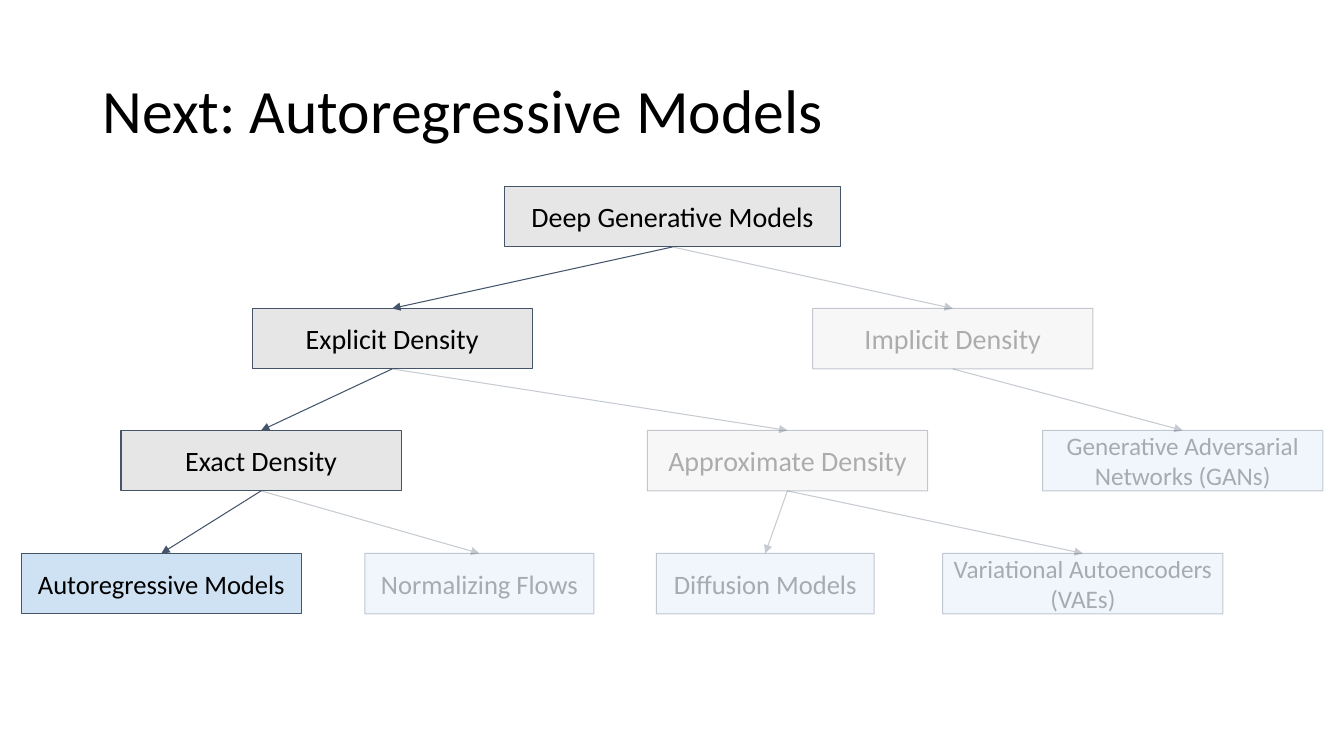
"""Builds a slide with the family tree of deep generative models."""
from lxml import etree
from pptx import Presentation
from pptx import util as u
from pptx.dml.color import RGBColor
from pptx.enum import shapes, text
from pptx.oxml.ns import qn

PX = 9144
FONT = "Calibri"
COLOURS = {"ink": "000000", "edge": "44546A", "group": "E7E6E6", "model": "CFE2F3"}
FADED_ALPHA = "30000"
LEVEL_TOPS = (185, 306, 427, 549)
NODE_HEIGHT = 60
BOTTOM_SITE, TOP_SITE = 2, 0

# name: (label, level, left, width, fill, size, faded, parent)
NODES = {
    "deep": ("Deep Generative Models", 0, 500, 334, "group", 20, False, None),
    "explicit": ("Explicit Density", 1, 250, 278, "group", 20, False, "deep"),
    "implicit": ("Implicit Density", 1, 806, 278, "group", 20, True, "deep"),
    "exact": ("Exact Density", 2, 120, 278, "group", 20, False, "explicit"),
    "approximate": ("Approximate Density", 2, 642, 278, "group", 20, True, "explicit"),
    "gan": ("Generative Adversarial Networks (GANs)", 2, 1034, 278, "model", 18, True, "implicit"),
    "autoregressive": ("Autoregressive Models", 3, 21, 278, "model", 19, False, "exact"),
    "flows": ("Normalizing Flows", 3, 362, 227, "model", 19, True, "exact"),
    "diffusion": ("Diffusion Models", 3, 651, 216, "model", 19, True, "approximate"),
    "vae": ("Variational Autoencoders (VAEs)", 3, 935, 278, "model", 18, True, "approximate"),
}


def px(length):
    """Turn a length in px into EMU."""
    return u.Emu(length * PX)


def colour(name):
    """Look up a named colour."""
    return RGBColor.from_string(COLOURS[name])


def write(box, words, *, size, align, inset=10, spacing=None):
    """Put one formatted paragraph in a box, centred vertically."""
    frame = box.text_frame
    frame.word_wrap = True
    frame.vertical_anchor = text.MSO_ANCHOR.MIDDLE
    frame.margin_left = frame.margin_right = px(10)
    frame.margin_top = frame.margin_bottom = px(inset)
    para = frame.paragraphs[0]
    para.alignment = align
    para.line_spacing = spacing
    span = para.add_run()
    span.text = words
    span.font.name = FONT
    span.font.size = u.Pt(size)
    span.font.color.rgb = colour("ink")


def outline(item):
    """Give a box or an arrow the thin edge line."""
    item.line.color.rgb = colour("edge")
    item.line.width = u.Pt(0.75)


def fade(item):
    """Make every colour of an element mostly transparent."""
    for shade in item._element.iter(qn("a:srgbClr")):
        etree.SubElement(shade, qn("a:alpha"), val=FADED_ALPHA)


def add_title(page, words):
    """Add the slide heading."""
    box = page.shapes.add_textbox(px(92), px(40), px(1150), px(145))
    write(box, words, size=44, align=text.PP_ALIGN.LEFT, inset=5, spacing=0.9)


def add_node(page, label, level, left, width, fill, size, faded):
    """Add one labelled box of the tree."""
    box = page.shapes.add_shape(
        shapes.MSO_SHAPE.RECTANGLE,
        px(left), px(LEVEL_TOPS[level]), px(width), px(NODE_HEIGHT))
    box.shadow.inherit = False
    box.fill.solid()
    box.fill.fore_color.rgb = colour(fill)
    outline(box)
    write(box, label, size=size, align=text.PP_ALIGN.CENTER)
    if faded:
        fade(box)
    return box


def add_arrow(page, parent, child, faded):
    """Join the bottom of a parent box to the top of its child."""
    arrow = page.shapes.add_connector(shapes.MSO_CONNECTOR.STRAIGHT, 0, 0, 0, 0)
    arrow.begin_connect(parent, BOTTOM_SITE)
    arrow.end_connect(child, TOP_SITE)
    outline(arrow)
    properties = arrow._element.spPr
    etree.SubElement(properties.get_or_add_ln(), qn("a:tailEnd"), type="triangle")
    etree.SubElement(properties, qn("a:effectLst"))
    if faded:
        fade(arrow)


def main():
    """Build and save the deck."""
    deck = Presentation()
    deck.slide_width, deck.slide_height = px(1333), px(750)
    page = deck.slides.add_slide(deck.slide_layouts[6])
    add_title(page, "Next: Autoregressive Models")
    boxes = {}
    for name, (*look, faded, parent) in NODES.items():
        boxes[name] = add_node(page, *look, faded)
        if parent:
            add_arrow(page, boxes[parent], boxes[name], faded)
    deck.save("out.pptx")


if __name__ == "__main__":
    main()
